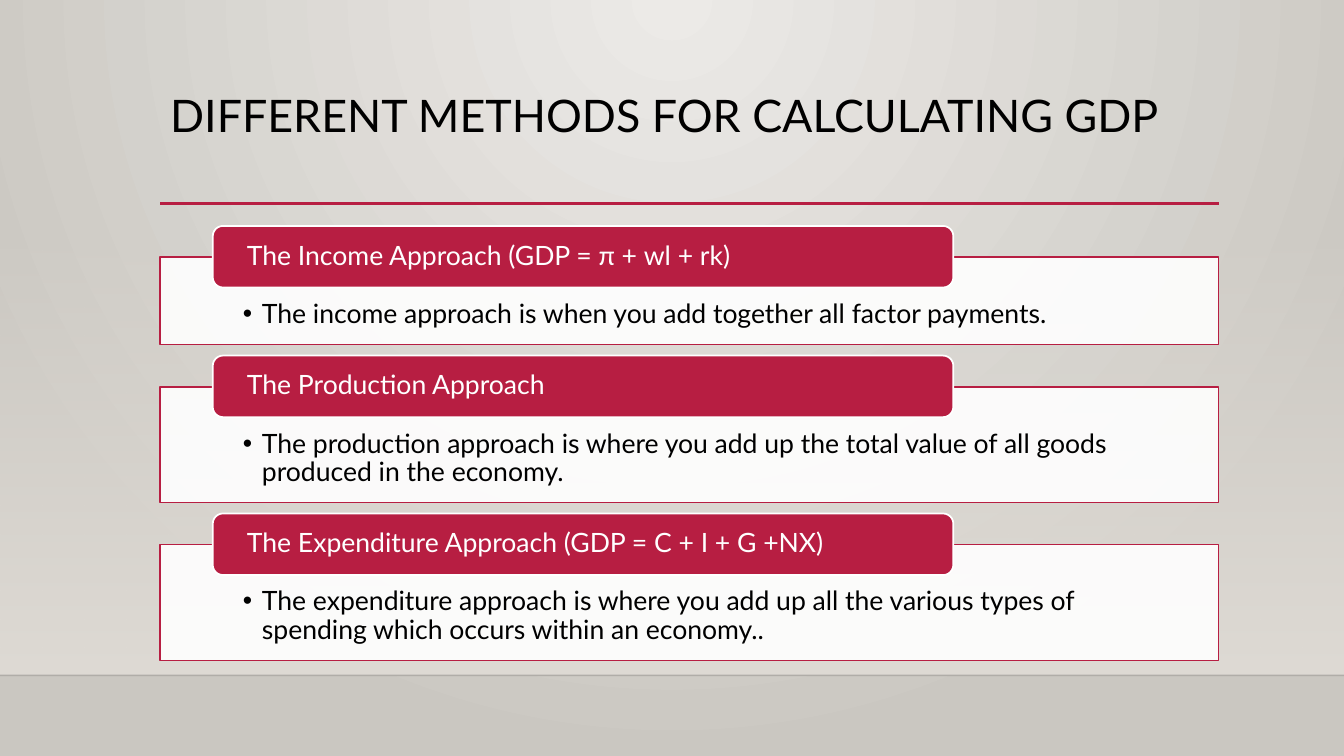
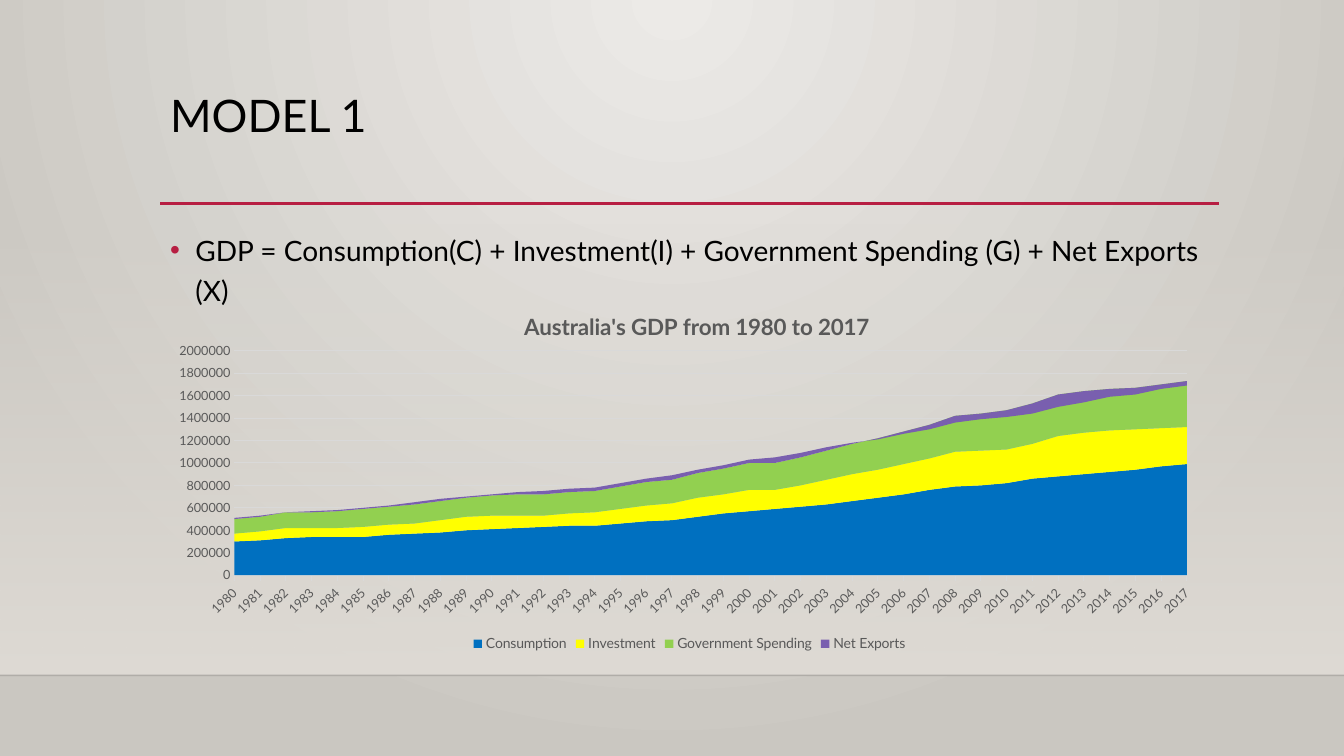
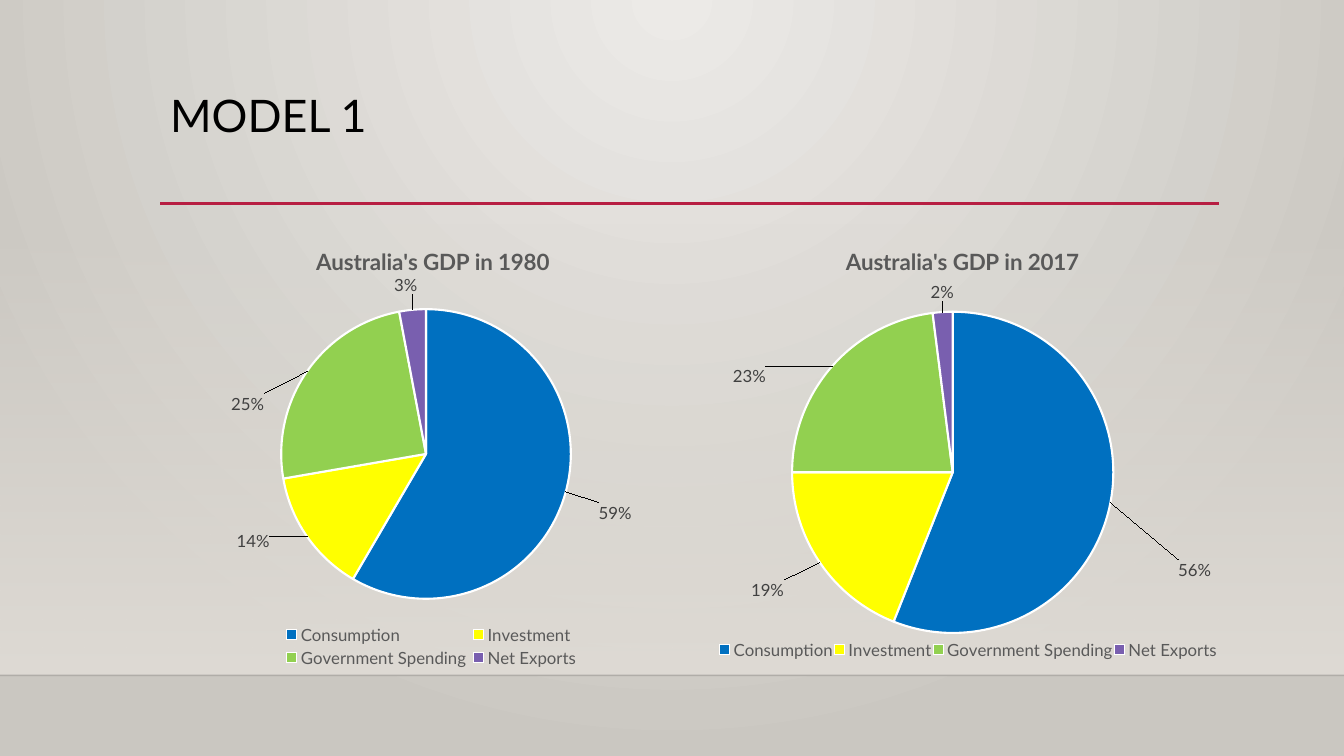
from pptx import Presentation
from pptx.chart.data import CategoryChartData
from pptx.dml.color import RGBColor
from pptx.enum.chart import XL_CHART_TYPE, XL_LABEL_POSITION, XL_LEGEND_POSITION, XL_TICK_MARK
from pptx.enum.shapes import MSO_CONNECTOR, MSO_SHAPE
from pptx.enum.text import MSO_ANCHOR, PP_ALIGN
from pptx.oxml import parse_xml
from pptx.oxml.ns import nsdecls, qn
from pptx.util import Pt

FONT = "Lato"
BLACK = RGBColor(0x00, 0x00, 0x00)
WHITE = RGBColor(0xFF, 0xFF, 0xFF)
CRIMSON = RGBColor(0xB7, 0x1E, 0x42)
PALE = RGBColor(0xEC, 0xEA, 0xE7)
STONE = RGBColor(0xCA, 0xC7, 0xC1)
SAND = RGBColor(0xDF, 0xDB, 0xD5)
GRID = RGBColor(0xD9, 0xD9, 0xD9)
GRAY = RGBColor(0x59, 0x59, 0x59)
DARK = RGBColor(0x40, 0x40, 0x40)
PARTS = {
    "Consumption": RGBColor(0x00, 0x70, 0xC0),
    "Investment": RGBColor(0xFF, 0xFF, 0x00),
    "Government Spending": RGBColor(0x92, 0xD0, 0x50),
    "Net Exports": RGBColor(0x79, 0x5F, 0xAF),
}

METHODS_TITLE = "DIFFERENT METHODS FOR CALCULATING GDP"
METHODS = [  # heading, explanation, panel height
    ("The Income Approach (GDP = π + wl + rk)",
     "The income approach is when you add together all factor payments.", 62.6),
    ("The Production Approach",
     "The production approach is where you add up the total value of all goods "
     "produced in the economy.", 82.8),
    ("The Expenditure Approach (GDP = C + I + G +NX)",
     "The expenditure approach is where you add up all the various types of "
     "spending which occurs within an economy..", 82.8),
]

MODEL_TITLE = "MODEL 1"
FORMULA = ("GDP = Consumption(C) + Investment(I) + Government Spending (G) "
           "+ Net Exports (X)")
YEARS = range(1980, 2018)
UNIT = 10000
HISTORY = [  # one row per part of GDP, in units of 10000
    [30, 31, 33, 34, 34, 34, 36, 37, 38, 40, 41, 42, 43, 44, 44, 46, 48, 49, 52,
     55, 57, 59, 61, 63, 66, 69, 72, 76, 79, 80, 82, 86, 88, 90, 92, 94, 97, 99],
    [7, 8, 9, 8, 8, 9, 9, 9, 11, 12, 12, 11, 10, 11, 12, 13, 14, 15, 17,
     17, 19, 17, 19, 22, 24, 25, 27, 28, 31, 31, 30, 31, 36, 37, 37, 36, 34, 33],
    [13, 13, 14, 14, 15, 16, 16, 17, 17, 17, 18, 19, 19, 19, 19, 20, 21, 21, 22,
     23, 24, 24, 25, 26, 27, 28, 29, 30, 32, 33, 35, 36, 37, 37, 37, 37, 39, 41],
    [1, 1, 0, 1, 1, 1, 1, 2, 2, 1, 1, 2, 3, 3, 3, 3, 3, 4, 3,
     3, 3, 5, 4, 3, 1, -1, -2, -4, -6, -5, -6, -9, -11, -10, -7, -6, -4, -4],
]
AREA = {
    "title": "Australia's GDP from 1980 to 2017",
    "box": (114.5, 205.9, 756, 262.8),
    "title_at": (0.34, 0.05),
    "plot_at": (0.07, 0.17, 0.9, 0.61),
}
PIES = [
    {"title": "Australia's GDP in 2017", "values": [56, 19, 23, -2],
     "box": (501.8, 156.2, 368.6, 332.6),
     "title_at": (0.27, 0.05), "plot_at": (0.17, 0.2, 0.63, 0.69),
     "legend_at": (0.03, 0.9, 0.97, 0.05),
     "label_shifts": [(0.12, 0.12), (-0.06, 0.03), (-0.12, 0.05), (0, -0.01)]},
    {"title": "Australia's GDP in 1980", "values": [59, 14, 25, 3],
     "box": (114.5, 156.2, 387.4, 323.3),
     "title_at": (0.28, 0.05), "plot_at": (0.22, 0.2, 0.54, 0.64),
     "legend_at": (0.22, 0.89, 0.56, 0.11),
     "label_shifts": [(0.05, 0.02), (-0.06, -0.02), (-0.07, 0.1), (0.01, -0.02)]},
]
PERCENT = '0"%";0"%"'

SLIDE_W, SLIDE_H = 960, 540
LEFT, WIDTH = 114.5, 756
FLOOR = 482.4


def points(*lengths):
    """Turn numbers into lengths in points."""
    return [Pt(length) for length in lengths]


def apply(target, formats):
    """Set every attribute named in a dict of format values."""
    for name, value in formats.items():
        setattr(target, name, value)


def set_font(font, size, colour, bold=False):
    """Give a font its face, size and colour."""
    apply(font, {"name": FONT, "size": Pt(size), "bold": bold})
    font.color.rgb = colour


def set_alpha(shape, percent, position=0):
    """Make one of a shape's colours partly transparent."""
    colour = shape._element.spPr.findall(".//" + qn("a:srgbClr"))[position]
    colour.append(parse_xml(f'<a:alpha {nsdecls("a")} val="{percent * 1000}"/>'))


def set_gradient(fill, first, last):
    """Fill with a gradient of two colours."""
    fill.gradient()
    for stop, colour in zip(fill.gradient_stops, (first, last)):
        stop.color.rgb = colour


def add_rule(page, x1, x2, y, colour, weight):
    """Draw a horizontal line without a shadow."""
    rule = page.shapes.add_connector(MSO_CONNECTOR.STRAIGHT, *points(x1, y, x2, y))
    rule.line.color.rgb = colour
    rule.line.width = Pt(weight)
    rule._element.spPr.append(parse_xml(f'<a:effectLst {nsdecls("a")}/>'))
    return rule


def add_panel(page, kind, box, fill, line):
    """Draw a filled and outlined shape."""
    panel = page.shapes.add_shape(kind, *points(*box))
    panel.shadow.inherit = False
    panel.fill.solid()
    panel.fill.fore_color.rgb = fill
    panel.line.color.rgb = line
    panel.line.width = Pt(1.25)
    return panel


def write(shape, text, size, colour, spacing=0.9, insets=(7.2, 3.6, 7.2, 3.6),
          anchor=MSO_ANCHOR.TOP):
    """Put one left-aligned paragraph into a shape and return it."""
    frame = shape.text_frame
    sides = ("margin_left", "margin_top", "margin_right", "margin_bottom")
    apply(frame, dict(zip(sides, points(*insets))))
    apply(frame, {"word_wrap": True, "vertical_anchor": anchor})
    para = frame.paragraphs[0]
    apply(para, {"alignment": PP_ALIGN.LEFT, "line_spacing": spacing})
    span = para.add_run()
    span.text = text
    set_font(span.font, size, colour)
    return para


def add_bullet(para, indent, colour):
    """Give a paragraph a round bullet and a hanging indent."""
    properties = para._p.get_or_add_pPr()
    properties.set("marL", str(Pt(indent)))
    properties.set("indent", str(-Pt(indent)))
    for xml in (f'<a:buClr {nsdecls("a")}><a:srgbClr val="{colour}"/></a:buClr>',
                f'<a:buFont {nsdecls("a")} typeface="Arial"/>',
                f'<a:buChar {nsdecls("a")} char="•"/>'):
        properties.append(parse_xml(xml))


def dress_master(deck):
    """Give all slides the radial background."""
    master = deck.slide_master
    set_gradient(master.background.fill, PALE, STONE)
    gradient = master.element.find(".//" + qn("p:bgPr") + "/" + qn("a:gradFill"))
    gradient.replace(gradient.find(qn("a:lin")), parse_xml(
        f'<a:path {nsdecls("a")} path="circle">'
        '<a:fillToRect l="43000" t="0" r="43000" b="100000"/></a:path>'))


def dress_layout(layout, page):
    """Draw the shared band and rules, then move them to the layout."""
    band = page.shapes.add_shape(
        MSO_SHAPE.RECTANGLE, *points(0, 159.1, SLIDE_W, FLOOR - 159.1))
    band.shadow.inherit = False
    band.line.fill.background()
    set_gradient(band.fill, SAND, SAND)
    band.fill.gradient_angle = 270
    set_alpha(band, 0)
    floor = add_rule(page, 0, SLIDE_W, FLOOR, BLACK, 1)
    set_alpha(floor, 20)
    title_rule = add_rule(page, LEFT, LEFT + WIDTH, 145.4, CRIMSON, 2.5)
    for shape in (band, floor, title_rule):
        layout.shapes.element.append(shape._element)


def add_title(page, text):
    """Write the slide title."""
    box = page.shapes.add_textbox(*points(LEFT, 63.4, WIDTH, 82.8))
    write(box, text, 32, BLACK)


def add_methods(page):
    """Stack the method panels, each with a heading tab over its top edge."""
    top, gap = 183.6, 30
    for heading, explanation, height in METHODS:
        panel = add_panel(page, MSO_SHAPE.RECTANGLE, (LEFT, top, WIDTH, height),
                          WHITE, CRIMSON)
        set_alpha(panel, 90)
        para = write(panel, explanation, 19, BLACK, insets=(59, 31, 59, 10.8))
        add_bullet(para, 13.7, BLACK)
        tab = add_panel(page, MSO_SHAPE.ROUNDED_RECTANGLE,
                        (LEFT + 37.5, top - 22.2, 529, 44), CRIMSON, WHITE)
        write(tab, heading, 19, WHITE, insets=(22.3, 0, 22.3, 0),
              anchor=MSO_ANCHOR.MIDDLE)
        top += height + gap


def place(element, index, fractions, modes=("xMode", "yMode"), target=""):
    """Set the manual layout of a chart part as fractions of the chart."""
    for old in element.findall(qn("c:layout")):
        element.remove(old)
    inner = f'<c:layoutTarget val="{target}"/>' if target else ""
    inner += "".join(f'<c:{mode} val="edge"/>' for mode in modes)
    inner += "".join(f'<c:{name} val="{value}"/>'
                     for name, value in zip("xywh", fractions))
    element.insert(index, parse_xml(
        f'<c:layout {nsdecls("c")}><c:manualLayout>{inner}</c:manualLayout></c:layout>'))


def add_gdp_chart(page, kind, content, data, legend_size):
    """Add a chart with the common title, legend and plot placement."""
    chart = page.shapes.add_chart(kind, *points(*content["box"]), data).chart
    set_font(chart.font, 10, BLACK)
    chart.has_title = True
    para = chart.chart_title.text_frame.paragraphs[0]
    span = para.add_run()
    span.text = content["title"]
    set_font(span.font, 16, GRAY, bold=True)
    chart.has_legend = True
    apply(chart.legend, {"position": XL_LEGEND_POSITION.BOTTOM,
                         "include_in_layout": False})
    set_font(chart.legend.font, legend_size, GRAY)
    place(chart.element.find(".//" + qn("c:title")), 1, content["title_at"])
    place(chart.element.find(".//" + qn("c:plotArea")), 0, content["plot_at"],
          target="inner")
    if "legend_at" in content:
        place(chart.element.find(".//" + qn("c:legend")), 1, content["legend_at"])
    return chart


def add_history(page):
    """Add the stacked area chart of all years."""
    data = CategoryChartData()
    data.categories = [str(year) for year in YEARS]
    for name, row in zip(PARTS, HISTORY):
        data.add_series(name, [value * UNIT for value in row])
    chart = add_gdp_chart(page, XL_CHART_TYPE.AREA_STACKED, AREA, data, 10)
    for series, colour in zip(chart.plots[0].series, PARTS.values()):
        series.format.fill.solid()
        series.format.fill.fore_color.rgb = colour
    years, amounts = chart.category_axis, chart.value_axis
    for axis in (years, amounts):
        set_font(axis.tick_labels.font, 9, GRAY)
    apply(years, {"major_tick_mark": XL_TICK_MARK.OUTSIDE,
                  "has_major_gridlines": False})
    apply(amounts, {"major_tick_mark": XL_TICK_MARK.NONE, "minimum_scale": 0,
                    "maximum_scale": 2000000, "major_unit": 200000,
                    "has_major_gridlines": True})
    apply(amounts.tick_labels, {"number_format": "0",
                                "number_format_is_linked": False})
    for line in (years.format.line, amounts.major_gridlines.format.line):
        line.color.rgb = GRID
        line.width = Pt(0.75)
    amounts.format.line.fill.background()
    for body in chart.element.xpath(".//c:catAx/c:txPr/a:bodyPr"):
        body.set("rot", "-2700000")
        body.set("vert", "horz")
    for crossing in chart.element.xpath(".//c:valAx/c:crossBetween"):
        crossing.set("val", "midCat")


def add_pie(page, content):
    """Add the pie chart of one year."""
    data = CategoryChartData()
    data.categories = list(PARTS)
    data.add_series("Series 1", content["values"])
    chart = add_gdp_chart(page, XL_CHART_TYPE.PIE, content, data, 12)
    chart.plots[0].vary_by_categories = True
    series = chart.plots[0].series[0]
    labels = series.data_labels
    apply(labels, {"show_value": True, "number_format": PERCENT,
                   "number_format_is_linked": False,
                   "position": XL_LABEL_POSITION.OUTSIDE_END})
    set_font(labels.font, 12, DARK)
    for index, colour in enumerate(PARTS.values()):
        point = series.points[index]
        point.format.fill.solid()
        point.format.fill.fore_color.rgb = colour
        point.format.line.color.rgb = WHITE
        point.format.line.width = Pt(1.5)
        point.data_label.position = XL_LABEL_POSITION.OUTSIDE_END
        set_font(point.data_label.font, 12, DARK)
    label_elements = chart.element.xpath(".//c:ser/c:dLbls/c:dLbl")
    for label, shift in zip(label_elements, content["label_shifts"]):
        place(label, 1, shift, modes=())
        number_format = parse_xml(f'<c:numFmt {nsdecls("c")} sourceLinked="0"/>')
        number_format.set("formatCode", PERCENT)
        label.insert(2, number_format)


def main():
    """Build the three slides and save them."""
    deck = Presentation()
    apply(deck, {"slide_width": Pt(SLIDE_W), "slide_height": Pt(SLIDE_H)})
    layout = deck.slide_layouts[6]
    methods, history, shares = [deck.slides.add_slide(layout) for _ in range(3)]
    dress_master(deck)
    dress_layout(layout, methods)

    add_title(methods, METHODS_TITLE)
    add_methods(methods)

    add_title(history, MODEL_TITLE)
    formula = history.shapes.add_textbox(*points(LEFT, 158.4, 766, 68.4))
    para = write(formula, FORMULA, 20, BLACK, spacing=1.2)
    para.space_before = Pt(10)
    add_bullet(para, 18, CRIMSON)
    add_history(history)

    add_title(shares, MODEL_TITLE)
    for content in PIES:
        add_pie(shares, content)
    deck.save("out.pptx")


main()
